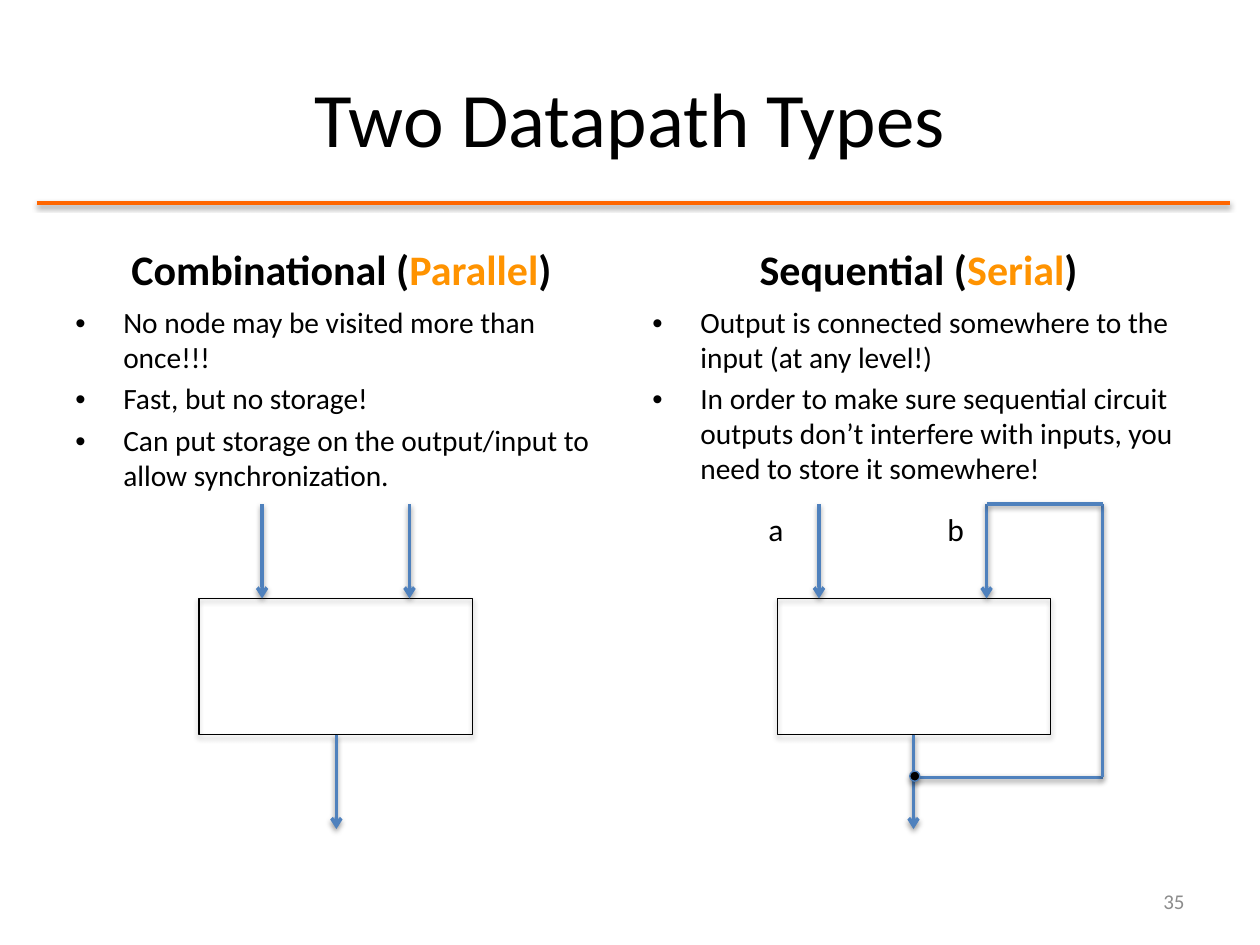
from dataclasses import dataclass

from lxml.etree import SubElement
from pptx import Presentation
from pptx.dml.color import RGBColor
from pptx.enum.shapes import MSO_CONNECTOR, MSO_SHAPE
from pptx.enum.text import MSO_ANCHOR as Anchor, PP_ALIGN as Align
from pptx.oxml.ns import qn
from pptx.util import Inches, Pt

FONT = "Calibri"
BLACK, BLUE, ORANGE, RULE_ORANGE = "000000", "4F81BD", "FF9300", "FF6600"
COLUMN_WIDTH = 4.42
BOX_WIDTH, BOX_HEIGHT = 2.17, 1.08
INPUT_TOP, BOX_TOP, OUTPUT_TOP, OUTPUT_END = 4, 4.75, 5.83, 6.58
FEEDBACK_Y, FEEDBACK_X = 6.17, 8.75


@dataclass
class Column:
    left: float
    kind: str
    mode: str
    bullets: list[str]
    box_left: float
    inputs: list[float]
    output: float


@dataclass
class Wire:
    start: tuple[float, float]
    end: tuple[float, float]
    arrow: bool = False
    color: str = BLUE


@dataclass
class Label:
    text: str
    area: tuple[float, float, float, float]
    size: float = 18
    color: str = BLACK
    align: Align = Align.LEFT
    anchor: Anchor = Anchor.TOP
    wrap: bool = True


COLUMNS = [
    Column(0.5, "Combinational", "Parallel",
           ["No node may be visited more than once!!!",
            "Fast, but no storage!",
            "Can put storage on the output/input to allow synchronization."],
           1.58, [2.08, 3.25], 2.67),
    Column(5.08, "Sequential", "Serial",
           ["Output is connected somewhere to the input (at any level!)",
            "In order to make sure sequential circuit outputs don’t interfere "
            "with inputs, you need to store it somewhere!"],
           6.17, [6.5, 7.83], 7.25),
]

LABELS = [
    Label("Two Datapath Types", (0.5, 0.3, 9, 1.25), 44,
          align=Align.CENTER, anchor=Anchor.MIDDLE),
    Label("a", (6, 4, 0.32, 0.4), wrap=False),
    Label("b", (7.42, 4, 0.33, 0.4), wrap=False),
    Label("35", (7.17, 6.95, 2.33, 0.4), 12, "8C8C8C", Align.RIGHT, Anchor.MIDDLE),
]


def rgb(value: str) -> RGBColor:
    return RGBColor.from_string(value)


def add_shadow(shape, distance: float, opacity: int) -> None:
    effects = SubElement(shape._element.spPr, qn("a:effectLst"))
    shadow = SubElement(effects, qn("a:outerShdw"), blurRad=str(Pt(3.1)),
                        dist=str(Pt(distance)), dir="5400000", rotWithShape="0")
    color = SubElement(shadow, qn("a:srgbClr"), val=BLACK)
    SubElement(color, qn("a:alpha"), val=str(opacity * 1000))


def add_wire(slide, wire: Wire) -> None:
    ends = [Inches(value) for value in (*wire.start, *wire.end)]
    connector = slide.shapes.add_connector(MSO_CONNECTOR.STRAIGHT, *ends)
    connector.line.color.rgb = rgb(wire.color)
    connector.line.width = Pt(2)
    if wire.arrow:
        SubElement(connector.line._get_or_add_ln(), qn("a:tailEnd"), type="arrow")
    add_shadow(connector, 1.6, 38)


def add_outline(slide, preset: MSO_SHAPE, area: tuple, line: str,
                fill: str | None = None) -> None:
    shape = slide.shapes.add_shape(preset, *map(Inches, area))
    if fill:
        shape.fill.solid()
        shape.fill.fore_color.rgb = rgb(fill)
    else:
        shape.fill.background()
    shape.line.color.rgb = rgb(line)
    shape.line.width = Pt(0.75)
    add_shadow(shape, 1.8, 35)


def add_text_frame(slide, area: tuple, anchor: Anchor, wrap: bool = True):
    frame = slide.shapes.add_textbox(*map(Inches, area)).text_frame
    frame.word_wrap = wrap
    frame.vertical_anchor = anchor
    return frame


def style(paragraph, size: float, color: str) -> None:
    paragraph.font.name = FONT
    paragraph.font.size = Pt(size)
    paragraph.font.color.rgb = rgb(color)


def add_label(slide, label: Label) -> None:
    frame = add_text_frame(slide, label.area, label.anchor, label.wrap)
    paragraph = frame.paragraphs[0]
    paragraph.text = label.text
    paragraph.alignment = label.align
    style(paragraph, label.size, label.color)


def add_heading(slide, column: Column) -> None:
    frame = add_text_frame(slide, (column.left, 1.68, COLUMN_WIDTH, 0.7), Anchor.BOTTOM)
    paragraph = frame.paragraphs[0]
    paragraph.alignment = Align.CENTER
    style(paragraph, 24, BLACK)
    paragraph.font.bold = True
    for text, color in ((f"{column.kind} (", BLACK), (column.mode, ORANGE), (")", BLACK)):
        run = paragraph.add_run()
        run.text = text
        run.font.color.rgb = rgb(color)


def add_bullets(slide, column: Column) -> None:
    frame = add_text_frame(slide, (column.left, 2.38, COLUMN_WIDTH, 1.37), Anchor.TOP)
    for index, text in enumerate(column.bullets):
        paragraph = frame.add_paragraph() if index else frame.paragraphs[0]
        paragraph.text = text
        paragraph.line_spacing = 0.98
        if index:
            paragraph.space_before = Pt(4)
        properties = paragraph._p.get_or_add_pPr()
        properties.set("marL", str(Inches(0.38)))
        properties.set("indent", str(-Inches(0.38)))
        SubElement(properties, qn("a:buFont"), typeface="Arial")
        SubElement(properties, qn("a:buChar"), char="•")
        style(paragraph, 16.8, BLACK)


def add_datapath(slide, column: Column) -> None:
    add_outline(slide, MSO_SHAPE.RECTANGLE,
                (column.box_left, BOX_TOP, BOX_WIDTH, BOX_HEIGHT), BLACK)
    for x in column.inputs:
        add_wire(slide, Wire((x, INPUT_TOP), (x, BOX_TOP), arrow=True))
    add_wire(slide, Wire((column.output, OUTPUT_TOP), (column.output, OUTPUT_END), arrow=True))


def add_feedback(slide, column: Column) -> None:
    corners = [(column.output, FEEDBACK_Y), (FEEDBACK_X, FEEDBACK_Y),
               (FEEDBACK_X, INPUT_TOP), (column.inputs[-1], INPUT_TOP)]
    for start, end in zip(corners, corners[1:]):
        add_wire(slide, Wire(start, end))
    add_outline(slide, MSO_SHAPE.OVAL, (7.22, 6.12, 0.08, 0.08), "4B7EBC", BLACK)


def main() -> None:
    presentation = Presentation()
    presentation.slide_width = Inches(10)
    presentation.slide_height = Inches(7.5)
    slide = presentation.slides.add_slide(presentation.slide_layouts[6])
    add_wire(slide, Wire((0.29, 1.61), (9.76, 1.61), color=RULE_ORANGE))
    for column in COLUMNS:
        add_heading(slide, column)
        add_bullets(slide, column)
        add_datapath(slide, column)
    add_feedback(slide, COLUMNS[1])
    for label in LABELS:
        add_label(slide, label)
    presentation.save("out.pptx")


if __name__ == "__main__":
    main()
